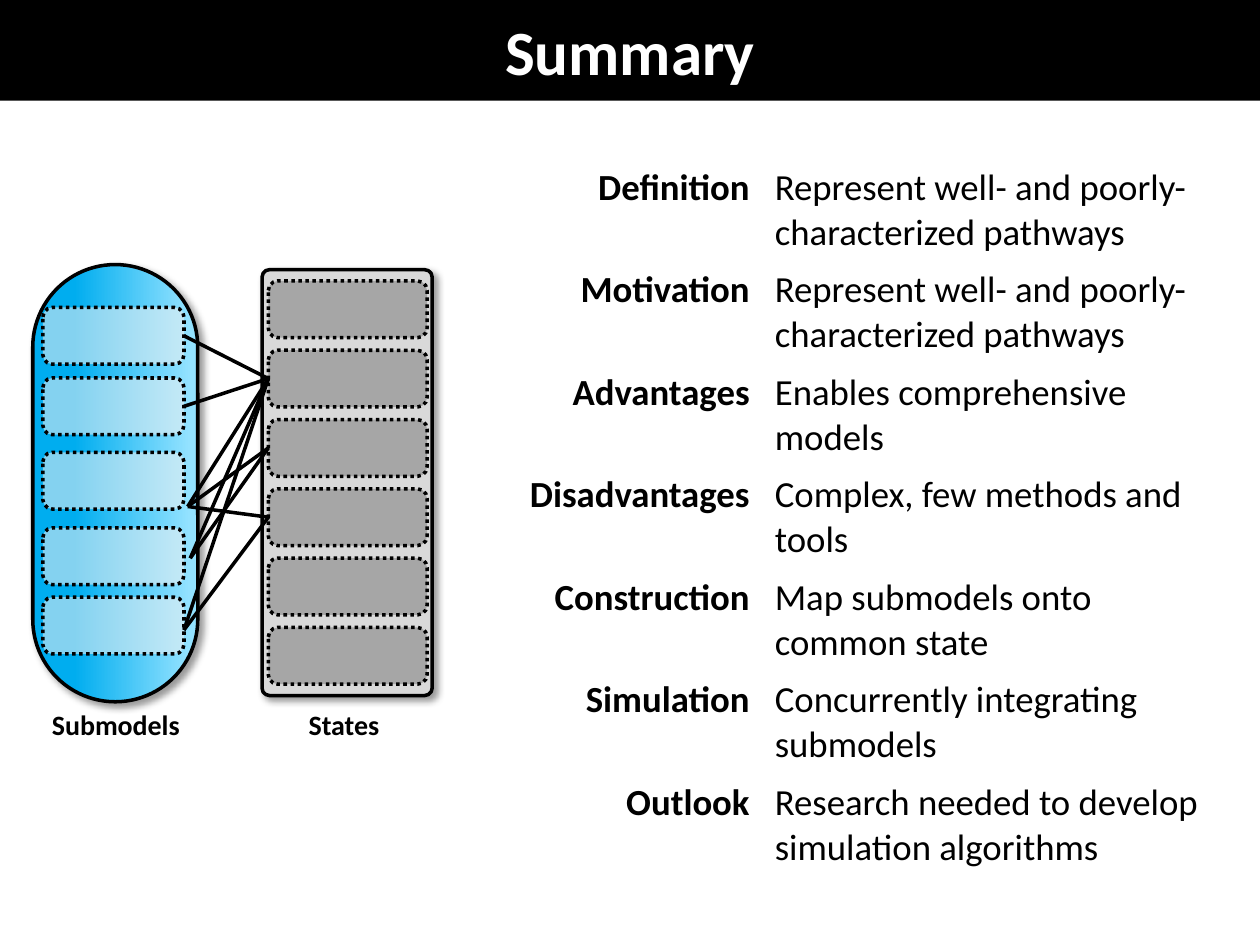
from lxml import etree
from pptx import Presentation
from pptx.dml.color import RGBColor
from pptx.enum.dml import MSO_LINE
from pptx.enum.shapes import MSO_CONNECTOR, MSO_SHAPE
from pptx.enum.text import MSO_ANCHOR, PP_ALIGN
from pptx.oxml import parse_xml
from pptx.oxml.ns import nsdecls, qn
from pptx.util import Inches, Pt

BLACK = RGBColor(0x00, 0x00, 0x00)
WHITE = RGBColor(0xFF, 0xFF, 0xFF)
BLUE = RGBColor(0x00, 0xAD, 0xEF)
PALE_BLUE = RGBColor(0x93, 0xE2, 0xFF)
FROST = RGBColor(0xF2, 0xF2, 0xF2)
PANEL_GREY = RGBColor(0xD9, 0xD9, 0xD9)
STATE_GREY = RGBColor(0xA6, 0xA6, 0xA6)

FONT = "Calibri"
SLIDE_W, SLIDE_H = 10, 7.5
BOX_H = 0.45
LINE_W = Pt(2)

TOPICS = [
    ("Definition", "Represent well- and poorly-characterized pathways"),
    ("Motivation", "Represent well- and poorly-characterized pathways"),
    ("Advantages", "Enables comprehensive models"),
    ("Disadvantages", "Complex, few methods and tools"),
    ("Construction", "Map submodels onto common state"),
    ("Simulation", "Concurrently integrating submodels"),
    ("Outlook", "Research needed to develop simulation algorithms"),
]

# Tops of the submodels, measured from the top of their capsule
SUBMODEL_TOPS = [0.34, 0.9, 1.49, 2.09, 2.64]
STATE_COUNT = 6
# Submodel number -> numbers of the states it uses
LINKS = {0: [1], 1: [1], 2: [1, 2, 3], 3: [1, 2], 4: [1, 3]}
# Where links leave a submodel away from its side's middle: offset from its top right
LOOSE_STARTS = {2: (0.03, 0.43), 3: (0.05, 0.24), 4: (0, 0.26)}


def write(frame, text, size, color, bold, align):
    paragraph = frame.paragraphs[0]
    paragraph.alignment = align
    run = paragraph.add_run()
    run.text = text
    styles = {"name": FONT, "size": Pt(size), "bold": bold}
    for key, value in styles.items():
        setattr(run.font, key, value)
    run.font.color.rgb = color


def add_box(slide, kind, box, fill=None, radius=None, dotted=False):
    shape = slide.shapes.add_shape(kind, *map(Inches, box))
    shape.shadow.inherit = False
    if fill is not None:
        shape.fill.solid()
        shape.fill.fore_color.rgb = fill
    shape.line.color.rgb = BLACK
    shape.line.width = LINE_W
    if radius is not None:
        shape.adjustments[0] = radius
    if dotted:
        shape.line.dash_style = MSO_LINE.ROUND_DOT
    return shape


def add_shadow(shape):
    effects = shape._element.spPr.find(qn("a:effectLst"))
    effects.append(parse_xml(
        f'<a:outerShdw {nsdecls("a")} blurRad="{Pt(4)}" dist="{Pt(3)}" dir="2700000">'
        '<a:srgbClr val="000000"><a:alpha val="40000"/></a:srgbClr></a:outerShdw>'))


def set_opacity(shape, percent):
    color = shape._element.spPr.find(qn("a:solidFill")).find(qn("a:srgbClr"))
    etree.SubElement(color, qn("a:alpha")).set("val", str(percent * 1000))


def add_title(slide, box):
    bar = add_box(slide, MSO_SHAPE.RECTANGLE, box, BLACK)
    bar.line.fill.background()
    frame = bar.text_frame
    frame.vertical_anchor = MSO_ANCHOR.MIDDLE
    for side in ("left", "right", "top", "bottom"):
        setattr(frame, f"margin_{side}", 0)
    write(frame, "Summary", 36, WHITE, True, PP_ALIGN.CENTER)


def add_topics(slide, box):
    left, top, width, height = map(Inches, box)
    table = slide.shapes.add_table(len(TOPICS), 2, left, top, width, height).table
    table.first_row = table.horz_banding = False
    table.columns[0].width = int(width * 0.397)
    table.columns[1].width = width - table.columns[0].width
    outer, inner = 0, Inches(0.1)
    columns = [(True, PP_ALIGN.RIGHT, outer, inner), (False, PP_ALIGN.LEFT, inner, outer)]
    for row, topic in enumerate(TOPICS):
        for col, (bold, align, margin_left, margin_right) in enumerate(columns):
            cell = table.cell(row, col)
            cell.fill.background()
            cell.margin_left, cell.margin_right = margin_left, margin_right
            write(cell.text_frame, topic[col], 21, BLACK, bold, align)


def add_label(slide, text, box):
    frame = slide.shapes.add_textbox(*map(Inches, box)).text_frame
    frame.word_wrap = True
    write(frame, text, 16, BLACK, True, PP_ALIGN.CENTER)


def add_submodels(slide, box):
    left, top, width, height = box
    capsule = add_box(slide, MSO_SHAPE.ROUNDED_RECTANGLE, box, radius=0.5)
    add_shadow(capsule)
    capsule.fill.gradient()
    capsule.fill.gradient_angle = 0
    stops = [(0.25, BLUE), (0.95, PALE_BLUE)]
    for stop, (position, color) in zip(capsule.fill.gradient_stops, stops):
        stop.position = position
        stop.color.rgb = color
    submodels = []
    for offset in SUBMODEL_TOPS:
        submodel = add_box(slide, MSO_SHAPE.ROUNDED_RECTANGLE,
                           (left + 0.08, top + offset, width - 0.19, BOX_H), FROST, dotted=True)
        set_opacity(submodel, 55)
        submodels.append(submodel)
    add_label(slide, "Submodels", (left - 0.04, top + height, 1.4, 0.37))
    return submodels


def add_states(slide, box):
    left, top, width, height = box
    panel = add_box(slide, MSO_SHAPE.ROUNDED_RECTANGLE, box, PANEL_GREY, radius=0.044)
    add_shadow(panel)
    pad = 0.09
    step = (height - 2 * pad - BOX_H) / (STATE_COUNT - 1)
    states = [add_box(slide, MSO_SHAPE.ROUNDED_RECTANGLE,
                      (left + 0.05, top + pad + i * step, width - 0.09, BOX_H),
                      STATE_GREY, dotted=True)
              for i in range(STATE_COUNT)]
    add_label(slide, "States", (left + 0.15, top + height + 0.05, 1, 0.37))
    return states


def add_links(slide, submodels, states):
    for number, targets in LINKS.items():
        submodel = submodels[number]
        dx, dy = LOOSE_STARTS.get(number, (0, BOX_H / 2))
        x = submodel.left + submodel.width + Inches(dx)
        y = submodel.top + Inches(dy)
        for target in targets:
            link = slide.shapes.add_connector(MSO_CONNECTOR.STRAIGHT, x, y, x, y)
            if number not in LOOSE_STARTS:
                link.begin_connect(submodel, 3)
            link.end_connect(states[target], 1)
            link.line.color.rgb = BLACK
            link.line.width = LINE_W
            etree.SubElement(link._element.spPr, qn("a:effectLst"))


def main():
    prs = Presentation()
    prs.slide_width, prs.slide_height = Inches(SLIDE_W), Inches(SLIDE_H)
    slide = prs.slides.add_slide(prs.slide_layouts[6])
    add_title(slide, (0, 0, SLIDE_W, 0.8))
    add_topics(slide, (3.64, 1.26, 6.07, 5.6))
    # Diagram: submodels mapped onto the common states
    submodels = add_submodels(slide, (0.26, 2.1, 1.31, 3.47))
    states = add_states(slide, (2.08, 2.14, 1.35, 3.38))
    add_links(slide, submodels, states)
    prs.save("out.pptx")


if __name__ == "__main__":
    main()
